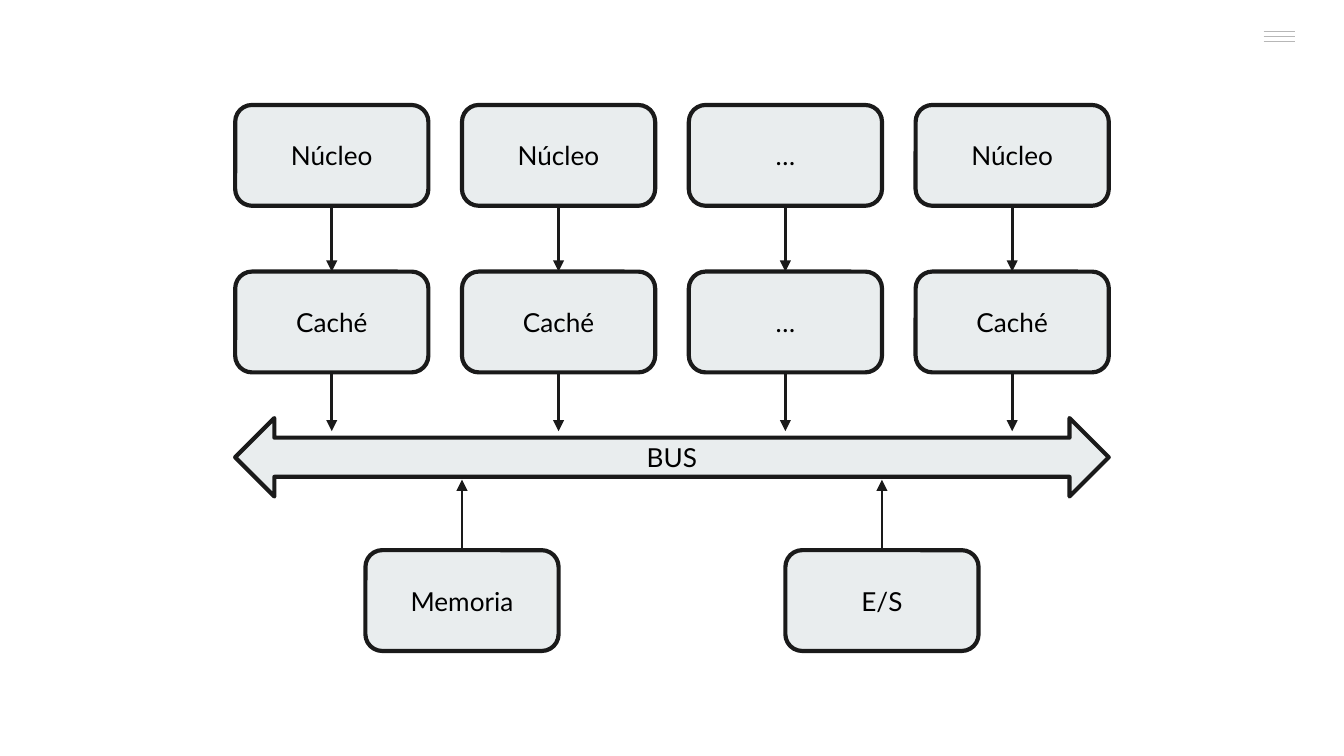
from dataclasses import dataclass

from lxml import etree
from pptx import Presentation
from pptx.dml.color import RGBColor
from pptx.enum import shapes, text
from pptx.oxml import ns
from pptx.util import Pt


@dataclass(frozen=True)
class Theme:
    fill: RGBColor = RGBColor(0xE9, 0xED, 0xEE)
    outline: RGBColor = RGBColor(0x1A, 0x1A, 0x1A)
    label: RGBColor = RGBColor(0, 0, 0)
    menu: RGBColor = RGBColor(0xB7, 0xB7, 0xB7)
    font: str = "Lato"
    size: float = 14
    border: float = 2.25
    arrow: float = 1.5
    hairline: float = 0.75


THEME = Theme()

# Layout, in points
LEFT, PITCH = 126, 121.5
BOX_WIDTH, BOX_HEIGHT = 103.5, 54
CORE_TOP, CACHE_TOP, DEVICE_TOP = 56.25, 145.5, 294.75
BUS_TOP, BUS_WIDTH, BUS_HEIGHT = 224, 468, 42
BUS_ARROW_ABOVE, BUS_ARROW_BELOW = 231, 257
BOTTOM_SITE, TOP_SITE = 2, 0


def add_block(page, kind, label, left, top, width=BOX_WIDTH, height=BOX_HEIGHT):
    """Add an outlined shape with a centred label."""
    block = page.shapes.add_shape(kind, Pt(left), Pt(top), Pt(width), Pt(height))
    block.shadow.inherit = False
    block.fill.solid()
    block.fill.fore_color.rgb = THEME.fill
    block.line.color.rgb = THEME.outline
    block.line.width = Pt(THEME.border)
    frame = block.text_frame
    frame.word_wrap = True
    frame.vertical_anchor = text.MSO_ANCHOR.MIDDLE
    frame.margin_left = frame.margin_right = Pt(7.2)
    frame.margin_top = frame.margin_bottom = Pt(7.2)
    para = frame.paragraphs[0]
    para.text = label
    para.alignment = text.PP_ALIGN.CENTER
    para.font.name = THEME.font
    para.font.size = Pt(THEME.size)
    para.font.color.rgb = THEME.label
    return block


def add_box(page, label, left, top):
    return add_block(page, shapes.MSO_SHAPE.ROUNDED_RECTANGLE, label, left, top)


def add_line(page, start, end, color, width):
    line = page.shapes.add_connector(
        shapes.MSO_CONNECTOR.STRAIGHT, *map(Pt, start), *map(Pt, end))
    line.line.color.rgb = color
    line.line.width = Pt(width)
    etree.SubElement(line._element.spPr, ns.qn("a:effectLst"))
    return line


def add_arrow(page, start, end):
    arrow = add_line(page, start, end, THEME.outline, THEME.arrow)
    outline = arrow.line._get_or_add_ln()
    etree.SubElement(outline, ns.qn("a:tailEnd"), type="triangle")
    return arrow


def add_menu_icon(page):
    for row in range(3):
        y = 16.75 + 2.75 * row
        add_line(page, (677, y), (694, y), THEME.menu, THEME.hairline)


def add_core_column(page, left, core_label, cache_label):
    """Add a core above its cache, with arrows down to the bus."""
    core = add_box(page, core_label, left, CORE_TOP)
    cache = add_box(page, cache_label, left, CACHE_TOP)
    center = left + BOX_WIDTH / 2
    to_cache = add_arrow(
        page, (center, CORE_TOP + BOX_HEIGHT), (center, CACHE_TOP))
    to_cache.begin_connect(core, BOTTOM_SITE)
    to_cache.end_connect(cache, TOP_SITE)
    to_bus = add_arrow(
        page, (center, CACHE_TOP + BOX_HEIGHT), (center, BUS_ARROW_ABOVE))
    to_bus.begin_connect(cache, BOTTOM_SITE)


def add_device(page, label, center):
    """Add a device below the bus, with an arrow up to it."""
    device = add_box(page, label, center - BOX_WIDTH / 2, DEVICE_TOP)
    to_bus = add_arrow(page, (center, DEVICE_TOP), (center, BUS_ARROW_BELOW))
    to_bus.begin_connect(device, TOP_SITE)


def main():
    deck = Presentation()
    deck.slide_width, deck.slide_height = Pt(720), Pt(405)
    page = deck.slides.add_slide(deck.slide_layouts[6])

    add_menu_icon(page)

    # Cores and caches
    columns = [("Núcleo", "Caché"), ("Núcleo", "Caché"),
               ("…", "…"), ("Núcleo", "Caché")]
    for index, labels in enumerate(columns):
        add_core_column(page, LEFT + PITCH * index, *labels)

    # Shared bus
    add_block(page, shapes.MSO_SHAPE.LEFT_RIGHT_ARROW, "BUS",
              LEFT, BUS_TOP, BUS_WIDTH, BUS_HEIGHT)

    # Memory and input/output
    for label, center in (("Memoria", 247.5), ("E/S", 472.5)):
        add_device(page, label, center)

    deck.save("out.pptx")


if __name__ == "__main__":
    main()
